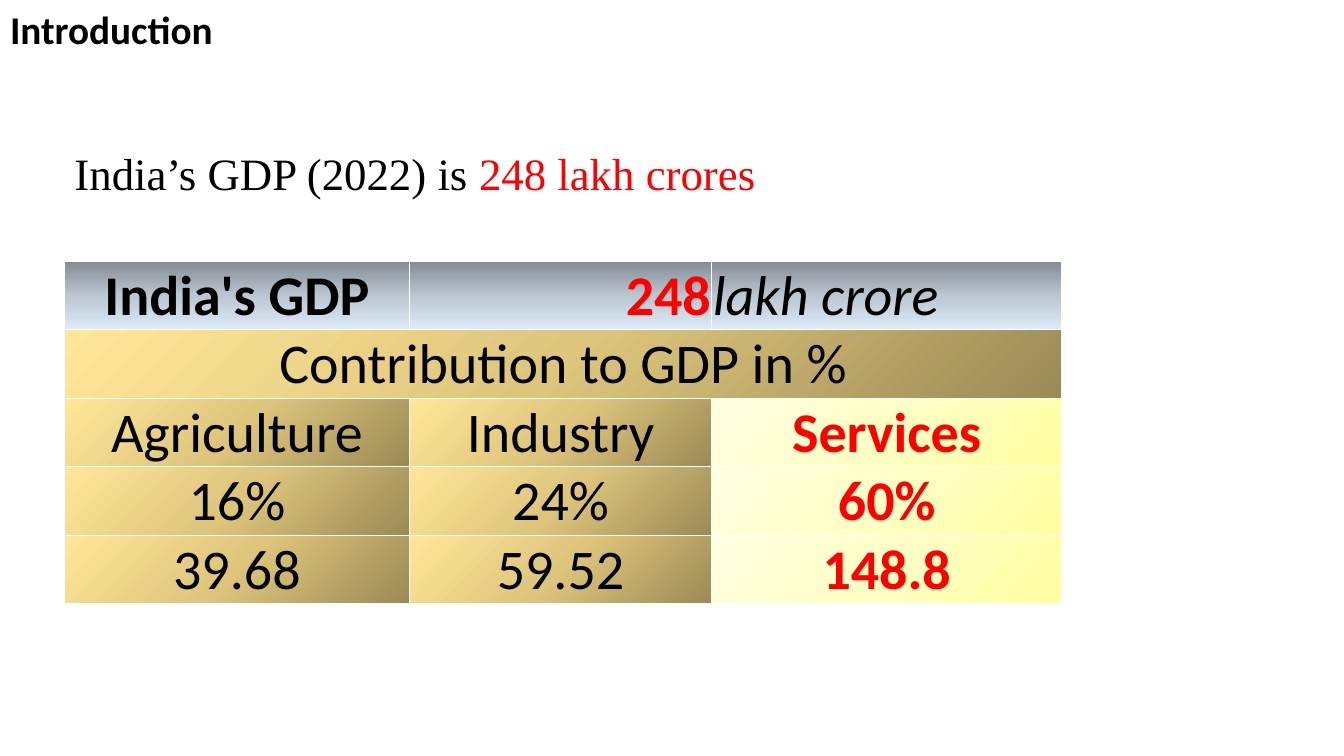
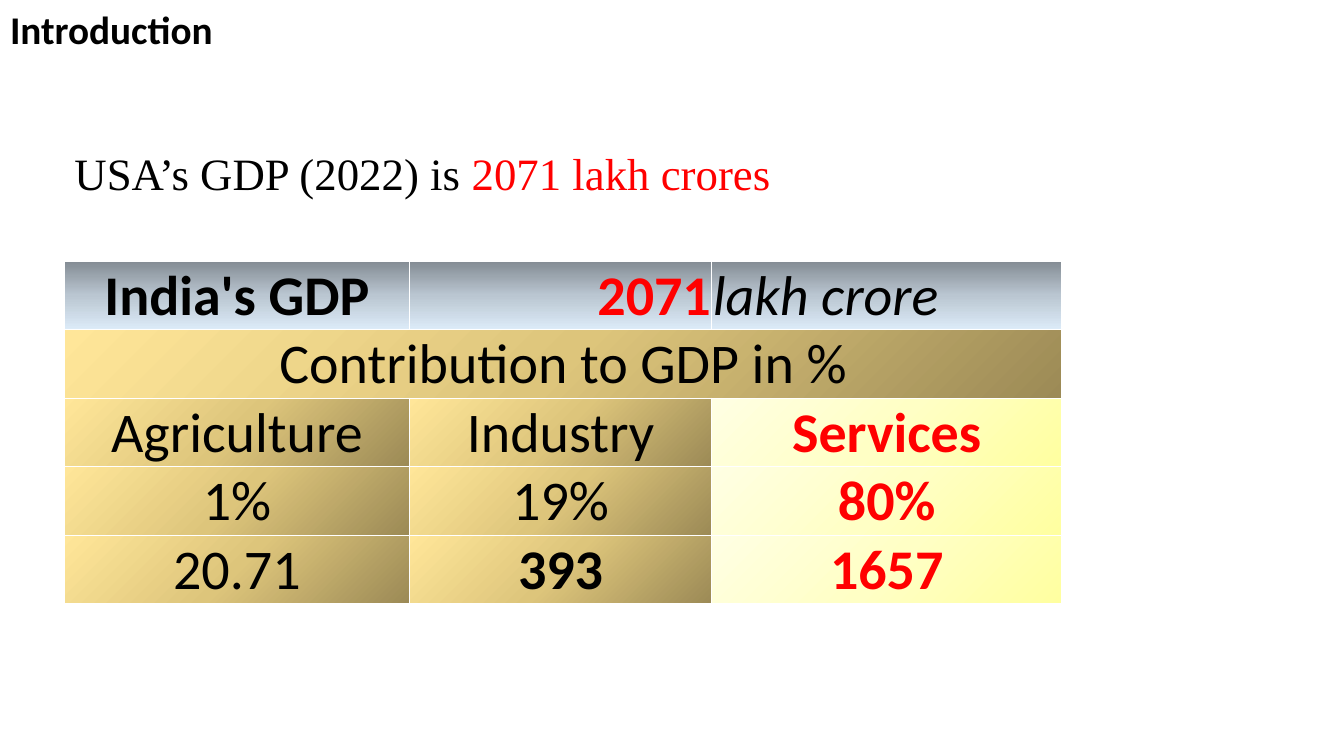
from lxml import etree
from pptx import Presentation
from pptx.dml.color import RGBColor
from pptx.enum.text import MSO_ANCHOR, MSO_AUTO_SIZE, PP_ALIGN
from pptx.oxml import parse_xml
from pptx.oxml.ns import nsdecls
from pptx.util import Inches, Pt

BLACK = RGBColor(0x00, 0x00, 0x00)
RED = RGBColor(0xFF, 0x00, 0x00)
WHITE = RGBColor(0xFF, 0xFF, 0xFF)

# Gradient stops at 0, 50 and 100 percent, then the direction
LINEAR = '<a:lin ang="{}" scaled="0"/>'
CORNER = '<a:path path="circle"><a:fillToRect l="100000" t="100000"/></a:path>'
STEEL = (RGBColor(0x83, 0x8B, 0x93), RGBColor(0xBA, 0xC6, 0xD1),
         RGBColor(0xDC, 0xEB, 0xF8), LINEAR.format(90 * 60000))
GOLD = (RGBColor(0x9C, 0x8A, 0x56), RGBColor(0xDD, 0xC5, 0x7B),
        RGBColor(0xFF, 0xE6, 0x99), CORNER)
YELLOW = (RGBColor(0xFF, 0xFF, 0xA0), RGBColor(0xFF, 0xFF, 0xC5),
          RGBColor(0xFF, 0xFF, 0xE3), LINEAR.format(225 * 60000))

COL_WIDTHS = (3.42, 3, 3.47)
ROW_HEIGHT = 0.68

# Country, GDP, shares, amounts, whether the industry amount is bold
COUNTRIES = [
    ("India", "248", ("16%", "24%", "60%"), ("39.68", "59.52", "148.8"), False),
    ("USA", "2071", ("1%", "19%", "80%"), ("20.71", "393", "1657"), True),
]


def add_text(tf, text, size=40, font="Calibri", color=BLACK, bold=False,
             italic=False, align=PP_ALIGN.LEFT):
    p = tf.paragraphs[0]
    p.alignment = align
    r = p.add_run()
    r.text = text
    r.font.size, r.font.name, r.font.color.rgb = Pt(size), font, color
    r.font.bold, r.font.italic = bold, italic


def style_cell(cell, gradient):
    cell.margin_left = cell.margin_right = cell.margin_top = Inches(0.01)
    cell.margin_bottom = 0
    cell.vertical_anchor = MSO_ANCHOR.MIDDLE
    tcPr = cell._tc.get_or_add_tcPr()
    for side in ("lnL", "lnR", "lnT", "lnB"):
        tcPr.append(parse_xml(
            f'<a:{side} {nsdecls("a")} w="{Pt(1)}"><a:solidFill>'
            f'<a:srgbClr val="{WHITE}"/></a:solidFill></a:{side}>'))
    *colors, direction = gradient
    fill = parse_xml(f'<a:gradFill {nsdecls("a")} rotWithShape="1"><a:gsLst/>'
                     f'{direction}</a:gradFill>')
    for i, color in enumerate(colors):
        fill[0].append(parse_xml(f'<a:gs {nsdecls("a")} pos="{i * 50000}">'
                                 f'<a:srgbClr val="{color}"/></a:gs>'))
    tcPr.append(fill)


prs = Presentation()
prs.slide_width, prs.slide_height = Inches(13.33), Inches(7.5)

for country, gdp, shares, amounts, industry_bold in COUNTRIES:
    s = prs.slides.add_slide(prs.slide_layouts[5])

    # Title
    title = s.shapes.title
    title.left, title.top = Inches(0), Inches(0)
    title.width, title.height = Inches(2.24), Inches(0.57)
    tf = title.text_frame
    tf.word_wrap = False
    tf.auto_size = MSO_AUTO_SIZE.SHAPE_TO_FIT_TEXT
    tf.vertical_anchor = MSO_ANCHOR.TOP
    add_text(tf, "Introduction", size=28, bold=True)

    # GDP statement
    tf = s.shapes.add_textbox(Inches(0.64), Inches(1.4),
                              Inches(7.76), Inches(0.64)).text_frame
    tf.word_wrap = True
    tf.auto_size = MSO_AUTO_SIZE.SHAPE_TO_FIT_TEXT
    add_text(tf, f"{country}’s GDP (2022) is ", size=32, font="Times New Roman")
    add_text(tf, f"{gdp} lakh crores", size=32, font="Times New Roman", color=RED)

    # Table grid
    table = s.shapes.add_table(5, 3, Inches(0.64), Inches(2.59),
                               Inches(sum(COL_WIDTHS)),
                               Inches(5 * ROW_HEIGHT)).table
    table.first_row = table.horz_banding = False
    for column, width in zip(table.columns, COL_WIDTHS):
        column.width = Inches(width)
    for row in table.rows:
        row.height = Inches(ROW_HEIGHT)
    table.cell(1, 0).merge(table.cell(1, 2))
    for row in range(5):
        for col in range(3):
            services = row > 1 and col == 2
            style_cell(table.cell(row, col),
                       STEEL if row == 0 else YELLOW if services else GOLD)

    # Heading rows
    add_text(table.cell(0, 0).text_frame, "India's GDP", bold=True,
             align=PP_ALIGN.CENTER)
    add_text(table.cell(0, 1).text_frame, gdp, color=RED, bold=True,
             align=PP_ALIGN.RIGHT)
    add_text(table.cell(0, 2).text_frame, "lakh crore", italic=True)
    table.cell(1, 0).vertical_anchor = MSO_ANCHOR.BOTTOM
    add_text(table.cell(1, 0).text_frame, "Contribution to GDP in %",
             align=PP_ALIGN.CENTER)

    # Sectors, shares and amounts
    sectors = ("Agriculture", "Industry", "Services")
    for row, values in enumerate((sectors, shares, amounts), start=2):
        for col, value in enumerate(values):
            services = col == 2
            bold = services or (industry_bold and (row, col) == (4, 1))
            add_text(table.cell(row, col).text_frame, value, bold=bold,
                     color=RED if services else BLACK, align=PP_ALIGN.CENTER)

prs.save("out.pptx")
